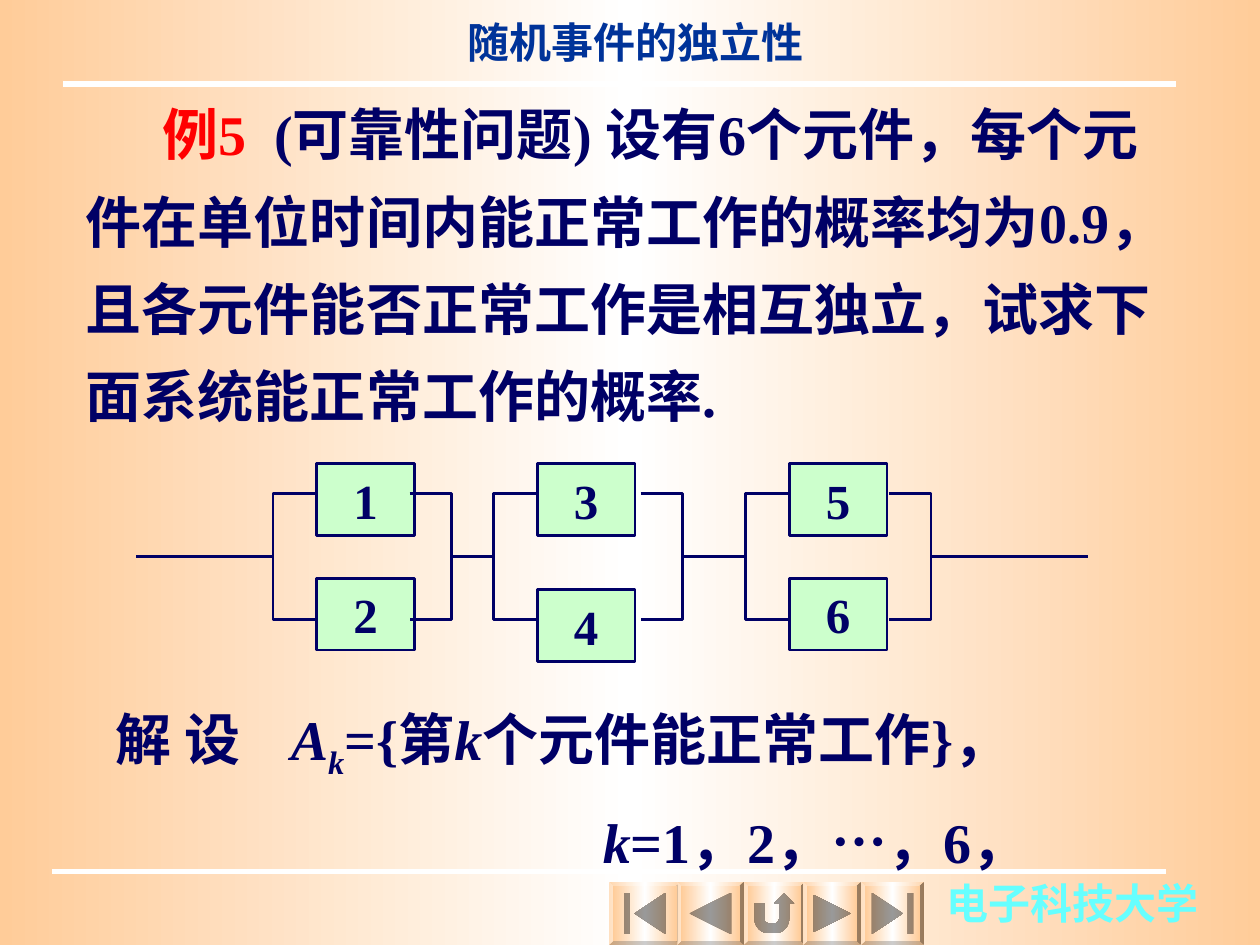
from copy import deepcopy
from dataclasses import dataclass
from lxml.etree import SubElement
from pptx import Presentation
from pptx.dml.color import RGBColor
from pptx.enum.lang import MSO_LANGUAGE_ID
from pptx.enum.shapes import MSO_CONNECTOR, MSO_SHAPE
from pptx.enum.text import MSO_ANCHOR, PP_ALIGN
from pptx.oxml.ns import qn
from pptx.util import Pt


@dataclass(frozen=True)
class Theme:
    font: str = "Times New Roman"
    ink: str = "000066"
    accent: str = "FF0000"
    header: str = "003399"
    school: str = "66FFFF"
    rule: str = "FFFFFF"
    component: str = "CCFFCC"
    gradient: tuple = ((0, "FFCC99"), (50, "FFFFFF"), (100, "FFCC99"))
    small: int = 24
    label: int = 28
    body: int = 32
    wire: float = 1.5
    rule_width: float = 3


THEME = Theme()

# Content: each run is (text, style), each paragraph (runs, layout)
HEADER = [([("随机事件的独立性", {"size": THEME.small, "color": THEME.header})],
           {"align": PP_ALIGN.CENTER})]
SCHOOL = [([("电子科技大学", {"size": THEME.small, "color": THEME.school})], {})]
PROBLEM = [([
    ("例5", {"color": THEME.accent}),
    (" ", {"tracking": 7.5}),
    ("(可靠性问题) 设有6个元件，每个元件在单位时间内能正常工作的概率均为0.9，"
     "且各元件能否正常工作是相互独立，试求下面系统能正常工作的概率.", {}),
], {"first": 44, "spacing": 1.3})]
SOLUTION = [
    ([("解 设", {}), (" ", {"tracking": 21.5}), ("A", {"italic": True}),
      ("k", {"italic": True, "baseline": -25}), ("={第", {}), ("k", {"italic": True}),
      ("个元件能正常工作}，", {})], {"first": 29}),
    ([("k", {"italic": True}), ("=1，2，…，6，", {})], {"left": 307.5, "spacing": 1.4}),
]

# Parallel pairs: labels, box left, lower box top, left wire, right wire
PAIRS = [
    (("1", "2"), 181, 330.5, 156, 258),
    (("3", "4"), 307, 337, 282, 390),
    (("5", "6"), 451, 330.5, 426, 532),
]
BOX_WIDTH, BOX_HEIGHT, UPPER_TOP = 56, 41, 265
PRONG, WIRE_TOP, WIRE_BOTTOM = 24, 282, 354
CIRCUIT_START, CIRCUIT_END = 78, 622

# Navigation buttons: shape, left, width
BUTTONS = [
    (MSO_SHAPE.ACTION_BUTTON_BEGINNING, 348, 41),
    (MSO_SHAPE.ACTION_BUTTON_BACK_OR_PREVIOUS, 387, 38),
    (MSO_SHAPE.ACTION_BUTTON_RETURN, 425, 35),
    (MSO_SHAPE.ACTION_BUTTON_FORWARD_OR_NEXT, 459, 33),
    (MSO_SHAPE.ACTION_BUTTON_END, 492, 36),
]
BUTTON_TOP, BUTTON_HEIGHT, BUTTON_RIM = 504, 36, 2.25


def rgb(color):
    return RGBColor.from_string(color)


def fill_gradient(fill, element):
    fill.gradient()
    stop_list = element.find(".//" + qn("a:gsLst"))
    stop_list.append(deepcopy(stop_list[0]))
    for stop, (position, color) in zip(fill.gradient_stops, THEME.gradient):
        stop.position = position / 100
        stop.color.rgb = rgb(color)
    stop_list.getparent().find(qn("a:lin")).set("ang", "0")


def write(frame, paragraphs):
    for index, (runs, layout) in enumerate(paragraphs):
        paragraph = frame.add_paragraph() if index else frame.paragraphs[0]
        properties = paragraph._p.get_or_add_pPr()
        properties.set("marL", str(Pt(layout.get("left", 0))))
        properties.set("indent", str(Pt(layout.get("first", 0))))
        paragraph.alignment = layout.get("align", PP_ALIGN.LEFT)
        paragraph.line_spacing = layout.get("spacing", 1.0)
        for text, style in runs:
            run = paragraph.add_run()
            run.text = text
            font = run.font
            font.name, font.bold = THEME.font, True
            font.size = Pt(style.get("size", THEME.body))
            font.italic = style.get("italic", False)
            font.color.rgb = rgb(style.get("color", THEME.ink))
            font.language_id = MSO_LANGUAGE_ID.SIMPLIFIED_CHINESE
            if "baseline" in style:
                run._r.get_or_add_rPr().set("baseline", str(style["baseline"] * 1000))
            if "tracking" in style:
                run._r.get_or_add_rPr().set("spc", str(int(style["tracking"] * 100)))


def add_text(shapes, bounds, paragraphs):
    frame = shapes.add_textbox(*map(Pt, bounds)).text_frame
    frame.word_wrap = True
    write(frame, paragraphs)


def add_line(shapes, start, end, y, color=THEME.ink, width=THEME.wire):
    line = shapes.add_connector(MSO_CONNECTOR.STRAIGHT, Pt(start), Pt(y), Pt(end), Pt(y))
    line.line.color.rgb = rgb(color)
    line.line.width = Pt(width)
    SubElement(line.element.spPr, qn("a:effectLst"))


def add_component(shapes, label, left, top):
    box = shapes.add_shape(MSO_SHAPE.RECTANGLE, Pt(left), Pt(top), Pt(BOX_WIDTH), Pt(BOX_HEIGHT))
    box.shadow.inherit = False
    box.fill.solid()
    box.fill.fore_color.rgb = rgb(THEME.component)
    box.line.color.rgb = rgb(THEME.ink)
    box.line.width = Pt(THEME.wire)
    box.text_frame.word_wrap = False
    box.text_frame.vertical_anchor = MSO_ANCHOR.MIDDLE
    write(box.text_frame, [([(label, {"size": THEME.label})], {"align": PP_ALIGN.CENTER})])


def add_bracket(shapes, spine, tip):
    builder = shapes.build_freeform(Pt(tip), Pt(WIRE_TOP))
    corners = [(spine, WIRE_TOP), (spine, WIRE_BOTTOM), (tip, WIRE_BOTTOM)]
    builder.add_line_segments([(Pt(x), Pt(y)) for x, y in corners], close=False)
    bracket = builder.convert_to_shape()
    bracket.shadow.inherit = False
    bracket.fill.background()
    bracket.line.color.rgb = rgb(THEME.ink)
    bracket.line.width = Pt(THEME.wire)


def add_circuit(shapes):
    for labels, left, lower_top, _, _ in PAIRS:
        for label, top in zip(labels, (UPPER_TOP, lower_top)):
            add_component(shapes, label, left, top)
    for _, _, _, entry, leave in PAIRS:
        add_bracket(shapes, entry, entry + PRONG)
        add_bracket(shapes, leave, leave - PRONG)
    # Series wires join each pair's exit to the next pair's entry
    starts = [CIRCUIT_START] + [pair[4] for pair in PAIRS]
    ends = [pair[3] for pair in PAIRS] + [CIRCUIT_END]
    for start, end in zip(starts, ends):
        add_line(shapes, start, end, (WIRE_TOP + WIRE_BOTTOM) / 2)


def add_button(shapes, kind, left, width):
    # A bevelled rim with the action face set inside it
    for part, inset in ((MSO_SHAPE.BEVEL, 0), (kind, BUTTON_RIM)):
        face = shapes.add_shape(part, Pt(left + inset), Pt(BUTTON_TOP + inset),
                                Pt(width - 2 * inset), Pt(BUTTON_HEIGHT - 2 * inset))
        if part == MSO_SHAPE.BEVEL:
            face.adjustments[0] = BUTTON_RIM / min(width, BUTTON_HEIGHT)
        face.shadow.inherit = False
        fill_gradient(face.fill, face.element)
        face.line.fill.background()


def main():
    deck = Presentation()
    deck.slide_width, deck.slide_height = Pt(720), Pt(540)
    slide = deck.slides.add_slide(deck.slide_layouts[6])
    shapes = slide.shapes
    fill_gradient(slide.background.fill, slide.element)

    # Header and footer
    add_line(shapes, 30, 666, 498, THEME.rule, THEME.rule_width)
    add_text(shapes, (533.5, 498, 176, 36), SCHOOL)
    add_line(shapes, 36, 672, 48, THEME.rule, THEME.rule_width)
    add_text(shapes, (228, 6, 270, 36), HEADER)

    # Problem, system diagram and solution
    add_text(shapes, (42, 42, 641, 207), PROBLEM)
    add_circuit(shapes)
    add_text(shapes, (30, 399, 690, 105), SOLUTION)

    # Navigation buttons
    for kind, left, width in BUTTONS:
        add_button(shapes, kind, left, width)

    deck.save("out.pptx")


if __name__ == "__main__":
    main()
